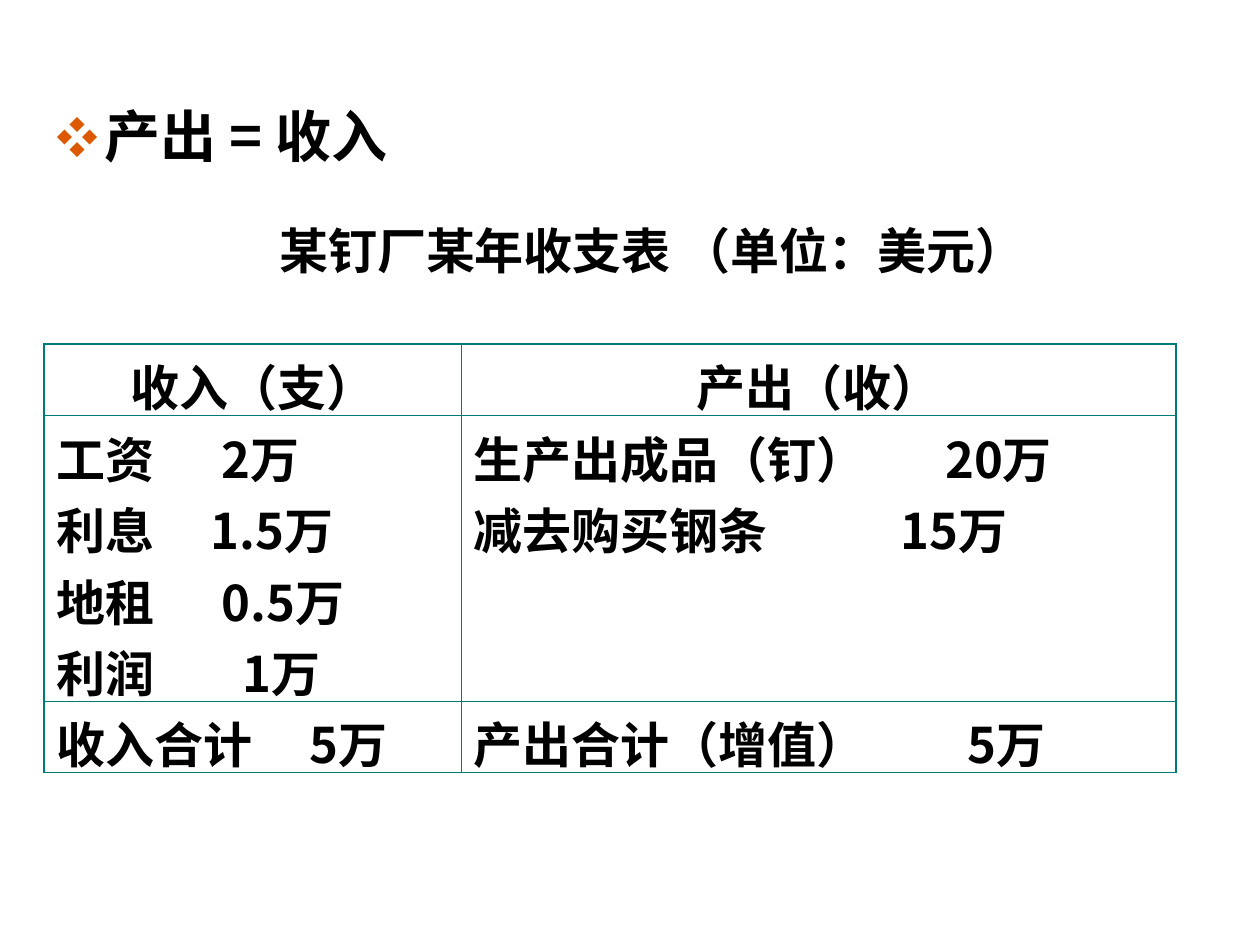
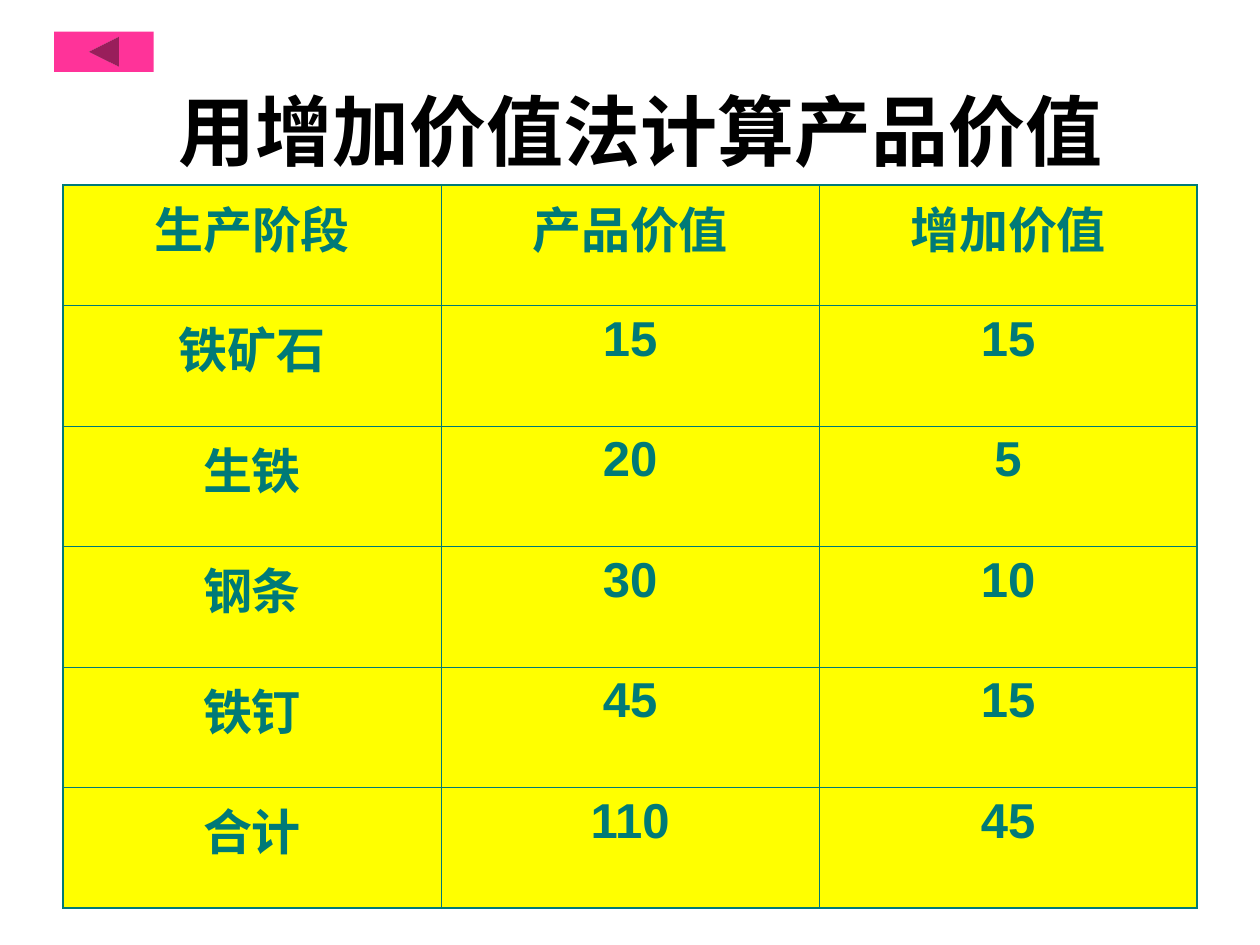
from dataclasses import dataclass

from lxml.etree import SubElement
from pptx import Presentation
from pptx.dml.color import RGBColor
from pptx.enum.shapes import MSO_SHAPE
from pptx.enum.text import MSO_ANCHOR, PP_ALIGN
from pptx.oxml.ns import qn
from pptx.util import Cm, Pt


@dataclass(frozen=True)
class Theme:
    """Colours, fonts, type sizes and line widths of the deck."""

    ink: str = "000000"
    teal: str = "007A77"
    orange: str = "DC5900"
    yellow: str = "FFFF00"
    pink: str = "FF3399"
    sans: str = "Arial"
    chinese: str = "Noto Sans CJK SC"
    title: int = 44
    heading: int = 32
    body: int = 28
    outer: float = 1.08
    inner: float = 0.45


THEME = Theme()


def write(frame, text, size=THEME.body, font=THEME.chinese, color=THEME.ink,
          align=PP_ALIGN.LEFT, bullet=None, tab=None):
    """Write one bold paragraph into a text frame."""
    para = frame.paragraphs[0]
    para.alignment = align
    settings = para._p.get_or_add_pPr()
    if bullet:
        settings.set("marL", str(Cm(0.97)))
        settings.set("indent", str(Cm(-0.97)))
        tint = SubElement(settings, qn("a:buClr"))
        SubElement(tint, qn("a:srgbClr"), val=THEME.orange)
        SubElement(settings, qn("a:buSzPct"), val="75000")
        SubElement(settings, qn("a:buFont"), typeface=THEME.chinese)
        SubElement(settings, qn("a:buChar"), char=bullet)
    if tab:
        stops = SubElement(settings, qn("a:tabLst"))
        SubElement(stops, qn("a:tab"), pos=str(Cm(tab)), algn="l")
    span = para.add_run()
    span.text = text
    span.font.size = Pt(size)
    span.font.bold = True
    span.font.name = font
    span.font.color.rgb = RGBColor.from_string(color)
    SubElement(span._r.get_or_add_rPr(), qn("a:ea"), typeface=THEME.chinese)


def add_text(page, box, text, wrap=True, anchor=MSO_ANCHOR.TOP, **style):
    """Place a text box, given in centimetres, and write its text."""
    frame = page.shapes.add_textbox(*map(Cm, box)).text_frame
    frame.word_wrap = wrap
    frame.vertical_anchor = anchor
    write(frame, text, **style)


def draw_borders(cell, widths):
    """Draw the left, right, top and bottom borders; zero means no line."""
    settings = cell._tc.get_or_add_tcPr()
    for place, (side, width) in enumerate(zip("LRTB", widths)):
        line = SubElement(settings, qn(f"a:ln{side}"), w=str(Pt(width)))
        settings.insert(place, line)
        if width:
            paint = SubElement(line, qn("a:solidFill"))
            SubElement(paint, qn("a:srgbClr"), val=THEME.teal)
        else:
            SubElement(line, qn("a:noFill"))


def add_grid(page, left, top, columns, row_height, rows, ruled, fill=None):
    """Add an empty framed table with lines only at the ruled row edges."""
    size = Cm(sum(columns)), Cm(row_height * rows)
    table = page.shapes.add_table(rows, len(columns), Cm(left), Cm(top), *size).table
    table.first_row = table.horz_banding = False
    for column, width in zip(table.columns, columns):
        column.width = Cm(width)

    def edge(index, last, shown=True):
        """Choose the width of a line from its place in the grid."""
        if index in (0, last):
            return THEME.outer
        return THEME.inner if shown else 0

    for r, row in enumerate(table.rows):
        row.height = Cm(row_height)
        for c, cell in enumerate(row.cells):
            if fill:
                cell.fill.solid()
                cell.fill.fore_color.rgb = RGBColor.from_string(fill)
            else:
                cell.fill.background()
            sides = [edge(i, len(columns)) for i in (c, c + 1)]
            levels = [edge(i, rows, i in ruled) for i in (r, r + 1)]
            draw_borders(cell, sides + levels)
    return table


def add_account(page, left, top):
    """Add the income and output account, with amounts set on tab stops."""
    entries = [
        [("收入（支）", None), ("产出（收）", None)],
        [("工资\t2万", 3.33), ("生产出成品（钉）\t20万", 9.5)],
        [("利息\t1.5万", 3.1), ("减去购买钢条\t15万", 8.6)],
        [("地租\t0.5万", 3.33), None],
        [("利润\t1万", 3.75), None],
        [("收入合计\t5万", 5.1), ("产出合计（增值）\t5万", 9.95)],
    ]
    table = add_grid(page, left, top, (8.41, 14.4), 1.44, len(entries), ruled=(1, 5))
    for r, line in enumerate(entries):
        for c, entry in enumerate(line):
            cell = table.cell(r, c)
            cell.margin_bottom = Cm(-0.13)
            if entry:
                text, tab = entry
                align = PP_ALIGN.LEFT if r else PP_ALIGN.CENTER
                write(cell.text_frame, text, align=align, tab=tab)


def add_stages(page, left, top):
    """Add the table of product value and added value by stage."""
    stages = [
        ("生产阶段", "产品价值", "增加价值"),
        ("铁矿石", "15", "15"),
        ("生铁", "20", "5"),
        ("钢条", "30", "10"),
        ("铁钉", "45", "15"),
        ("合计", "110", "45"),
    ]
    table = add_grid(page, left, top, (7.62,) * 3, 2.43, len(stages),
                     ruled=range(1, len(stages)), fill=THEME.yellow)
    for r, stage in enumerate(stages):
        for c, text in enumerate(stage):
            write(table.cell(r, c).text_frame, text, font=THEME.sans,
                  color=THEME.teal, align=PP_ALIGN.CENTER)


def add_back_button(page, box):
    """Add the bevelled back button."""
    kind = MSO_SHAPE.ACTION_BUTTON_BACK_OR_PREVIOUS
    button = page.shapes.add_shape(kind, *map(Cm, box))
    button.shadow.inherit = False
    button.fill.solid()
    button.fill.fore_color.rgb = RGBColor.from_string(THEME.pink)
    button.line.fill.background()


def build_income_page(page):
    """Build the page that sets output equal to income."""
    add_text(page, (0.89, 1.93, 23.7, 13.77), "产出 = 收入",
             size=THEME.heading, bullet="❖")
    add_text(page, (5.38, 4.32, 15.52, 1.45), "某钉厂某年收支表 （单位：美元）",
             wrap=False, font=THEME.sans)
    add_account(page, 0.89, 6.93)


def build_value_page(page):
    """Build the page on the added value method."""
    add_text(page, (1.5, 0.71, 22.86, 3.81), "用增加价值法计算产品价值",
             anchor=MSO_ANCHOR.MIDDLE, size=THEME.title, align=PP_ALIGN.CENTER)
    add_back_button(page, (1.09, 0.64, 2.01, 0.81))
    add_stages(page, 1.27, 3.73)


def main():
    """Build both pages and save the deck."""
    deck = Presentation()
    deck.slide_width, deck.slide_height = Cm(25.4), Cm(19.05)
    for build in (build_income_page, build_value_page):
        build(deck.slides.add_slide(deck.slide_layouts[6]))
    deck.save("out.pptx")


if __name__ == "__main__":
    main()
